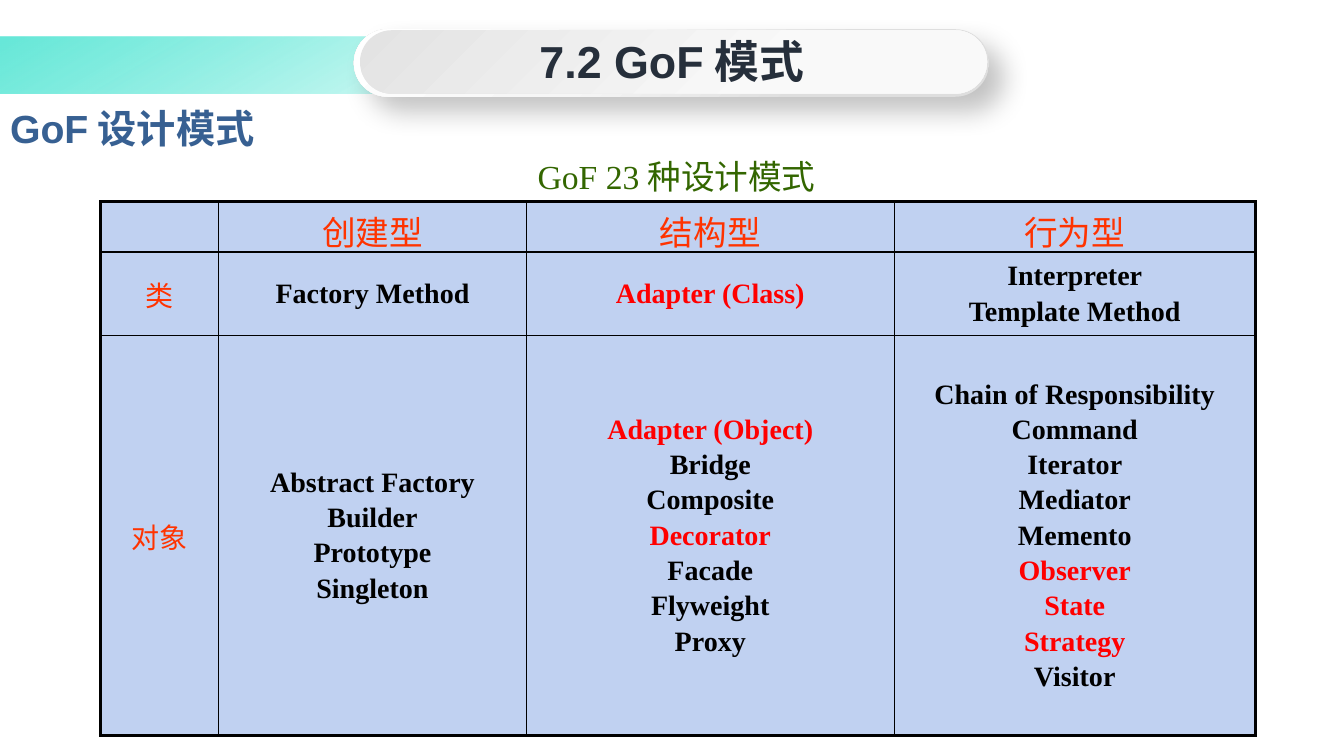
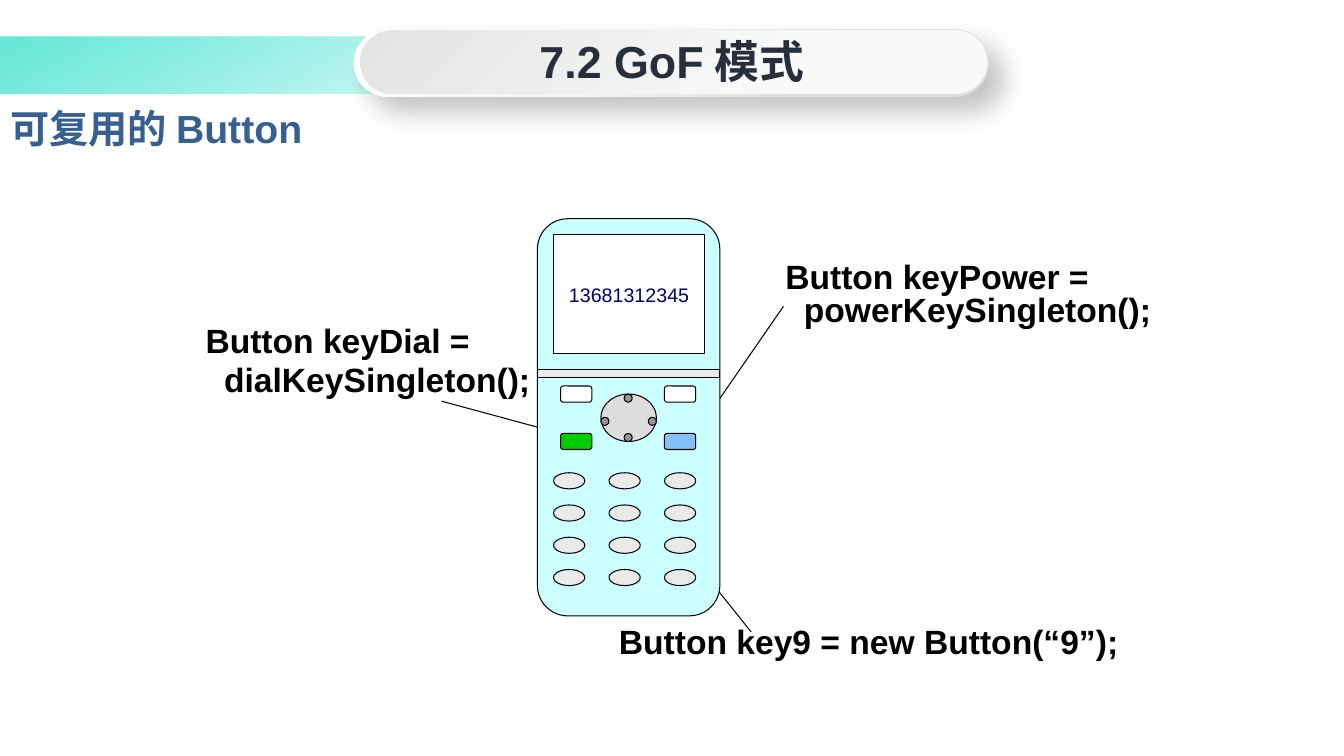
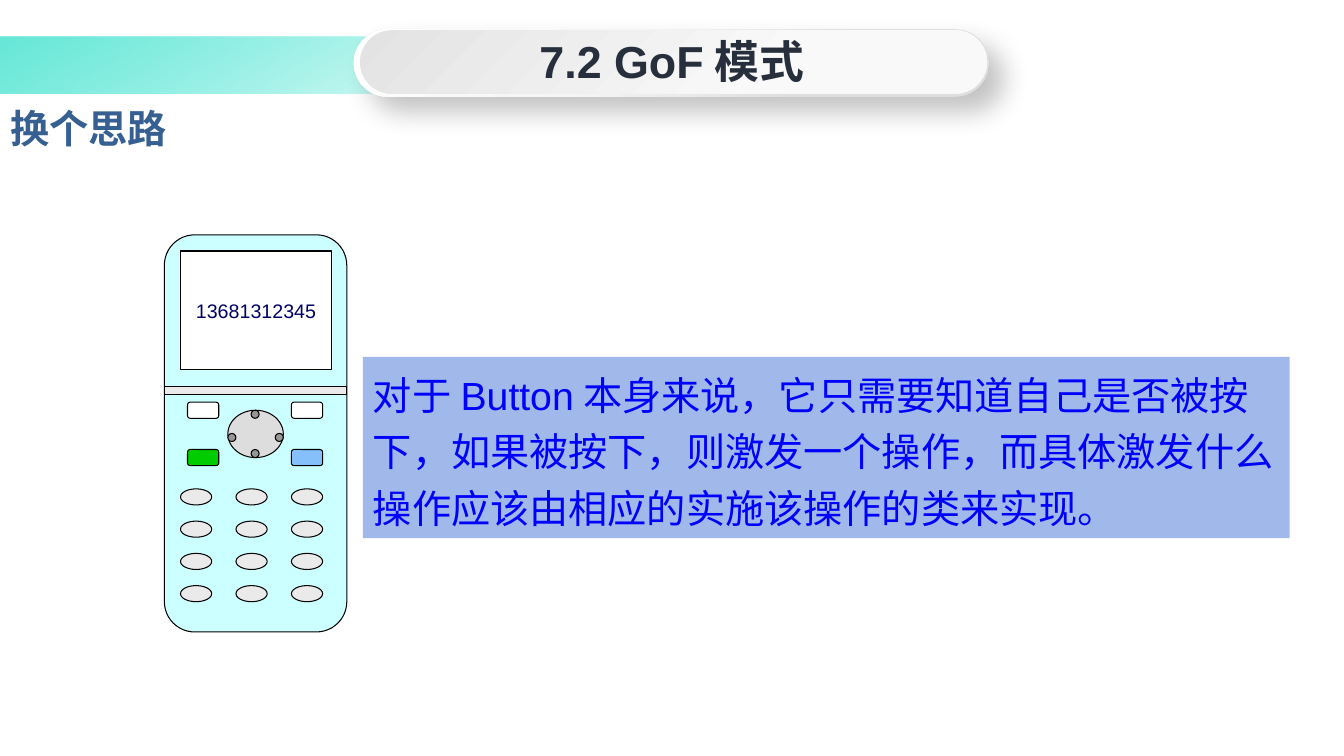
"""Build three slides on the GoF design patterns and a reusable phone button."""
from dataclasses import dataclass
from itertools import product
from typing import NamedTuple

from pptx import Presentation
from pptx.dml.color import RGBColor
from pptx.enum.shapes import MSO_CONNECTOR as Connector, MSO_SHAPE as Shape
from pptx.enum.text import MSO_ANCHOR as Anchor, MSO_AUTO_SIZE as AutoSize, PP_ALIGN as Align
from pptx.oxml import parse_xml
from pptx.oxml.ns import nsdecls, qn
from pptx.util import Inches, Pt


@dataclass(frozen=True)
class Theme:
    """Fonts, colours and type sizes of the whole deck."""
    sans: str = "Arial"
    serif: str = "Times New Roman"
    ink: str = "000000"
    paper: str = "FFFFFF"
    heading: str = "376092"
    chapter: str = "262F3B"
    caption: str = "336600"
    label: str = "FF3300"
    highlight: str = "FF0000"
    cell: str = "C0D1F1"
    note_fill: str = "A1B9EA"
    note_text: str = "0000FF"
    phone: str = "CCFFFF"
    phone_number: str = "000066"
    keypad: str = "EAEAEA"
    dial: str = "DDDDDD"
    dot: str = "969696"
    call: str = "00CC00"
    hang_up: str = "85C0FB"
    chapter_size: int = 32
    heading_size: int = 28
    body_size: int = 24
    cell_size: int = 20
    screen_size: int = 14
    hairline: float = 0.75
    inner_border: float = 1
    outer_border: float = 2.25


class Box(NamedTuple):
    """A place on the slide in inches."""
    x: float
    y: float
    w: float
    h: float

    def lengths(self) -> list:
        """Return the four lengths that python-pptx expects."""
        return [Inches(side) for side in self]

    def moved(self, dx: float, dy: float) -> "Box":
        """Return the box shifted by an offset."""
        return Box(self.x + dx, self.y + dy, self.w, self.h)


class Style(NamedTuple):
    """The look of a paragraph."""
    size: float
    color: str
    font: str
    bold: bool = False
    align: Align = Align.LEFT
    line: float | None = None
    before: float = 0


class Stop(NamedTuple):
    """One gradient stop, with position and opacity in percent."""
    position: int
    color: str
    opacity: int = 100


class Part(NamedTuple):
    """One piece of the phone, placed from the phone's corner."""
    kind: Shape
    box: Box
    color: str


class Callout(NamedTuple):
    """A piece of code beside the phone, with its leader line."""
    box: Box
    paragraphs: list[str]
    start: tuple[float, float]
    end: tuple[float, float]


THEME = Theme()
CHAPTER = Style(THEME.chapter_size, THEME.chapter, THEME.sans, True, Align.CENTER)
HEADING = Style(THEME.heading_size, THEME.heading, THEME.sans, True)
CAPTION = Style(THEME.body_size, THEME.caption, THEME.serif, align=Align.CENTER)
CODE = Style(THEME.body_size, THEME.ink, THEME.sans, True, line=0.8, before=5)
NOTE = Style(THEME.heading_size, THEME.note_text, THEME.sans, line=1.2)
SCREEN_TEXT = Style(THEME.screen_size, THEME.phone_number, THEME.sans, align=Align.CENTER)
COLUMN_HEAD = Style(THEME.body_size, THEME.label, THEME.serif, align=Align.CENTER)
ROW_HEAD = COLUMN_HEAD._replace(size=THEME.cell_size)
PATTERN = Style(THEME.cell_size, THEME.ink, THEME.serif, True, Align.CENTER, before=3)
KEY_PATTERN = PATTERN._replace(color=THEME.highlight)

KEY_SIZE = (0.31, 0.16)
DOT_SIZE = (0.08, 0.08)
SCREEN = Part(Shape.RECTANGLE, Box(0.16, 0.16, 1.5, 1.18), THEME.paper)
SOFT_KEYS = zip(product((0.23, 1.26), (1.66, 2.13)),
                (THEME.paper, THEME.call, THEME.paper, THEME.hang_up))
PHONE = [
    Part(Shape.ROUNDED_RECTANGLE, Box(0, 0, 1.81, 3.94), THEME.phone),
    SCREEN,
    Part(Shape.RECTANGLE, Box(0, 1.5, 1.81, 0.08), THEME.keypad),
    Part(Shape.OVAL, Box(0.63, 1.74, 0.55, 0.47), THEME.dial),
    *(Part(Shape.ROUNDED_RECTANGLE, Box(*corner, *KEY_SIZE), color)
      for corner, color in SOFT_KEYS),
    *(Part(Shape.OVAL, Box(0.16 + 0.55 * column, 2.52 + 0.32 * row, *KEY_SIZE), THEME.keypad)
      for row, column in product(range(4), range(3))),
    *(Part(Shape.OVAL, Box(*corner, *DOT_SIZE), THEME.dot)
      for corner in ((0.86, 1.74), (0.86, 2.13), (1.1, 1.97), (0.63, 1.97))),
]

CALLOUTS = [
    Callout(Box(6.04, 6.19, 5.2, 0.42), ["Button key9 = new Button(“9”);"],
            (6.82, 5.48), (7.45, 6.27)),
    Callout(Box(1.94, 3.2, 3.47, 0.83), ["Button keyDial =", "  dialKeySingleton();"],
            (5.56, 4.3), (4.38, 3.98)),
    Callout(Box(7.69, 2.57, 3.98, 0.75), ["Button keyPower =\n  powerKeySingleton();"],
            (6.9, 4.3), (7.77, 3.04)),
]

PATTERNS = [
    [[], ["创建型"], ["结构型"], ["行为型"]],
    [["类"], ["Factory Method"], ["Adapter (Class)"], ["Interpreter", "Template Method"]],
    [["对象"],
     ["Abstract Factory", "Builder", "Prototype", "Singleton"],
     ["Adapter (Object)", "Bridge", "Composite", "Decorator", "Facade", "Flyweight", "Proxy"],
     ["Chain of Responsibility", "Command", "Iterator", "Mediator", "Memento",
      "Observer", "State", "Strategy", "Visitor"]],
]
KEY_PATTERNS = {"Adapter (Class)", "Adapter (Object)", "Decorator", "Observer", "State", "Strategy"}
COLUMN_WIDTHS = (1.17, 3.05, 3.65, 3.58)
ROW_HEIGHTS = (0.5, 0.83, 3.97)


def write(frame, lines: list[tuple[str, Style]]) -> None:
    """Fill a text frame with one styled paragraph a line."""
    for index, (text, style) in enumerate(lines):
        paragraph = frame.add_paragraph() if index else frame.paragraphs[0]
        paragraph.text = text
        paragraph.alignment = style.align
        if style.line:
            paragraph.line_spacing = style.line
        paragraph.space_before = Pt(style.before if index else 0)
        font = paragraph.font
        font.name, font.size, font.bold = style.font, Pt(style.size), style.bold
        font.color.rgb = RGBColor.from_string(style.color)


def add_text(shapes, box: Box, style: Style, *paragraphs: str) -> None:
    """Add a wrapping text box."""
    frame = shapes.add_textbox(*box.lengths()).text_frame
    frame.word_wrap = True
    write(frame, [(text, style) for text in paragraphs])


def add_filled(shapes, kind: Shape, box: Box, color: str, outlined: bool = False):
    """Add a flat preset shape."""
    shape = shapes.add_shape(kind, *box.lengths())
    shape.shadow.inherit = False
    shape.fill.solid()
    shape.fill.fore_color.rgb = RGBColor.from_string(color)
    if outlined:
        shape.line.color.rgb = RGBColor.from_string(THEME.ink)
        shape.line.width = Pt(THEME.hairline)
    else:
        shape.line.fill.background()
    return shape


def add_gradient(shapes, kind: Shape, box: Box, angle: int, stops: list[Stop]):
    """Add a shape with a linear gradient."""
    shape = add_filled(shapes, kind, box, stops[0].color)
    marks = "".join(
        f'<a:gs pos="{stop.position * 1000}"><a:srgbClr val="{stop.color}">'
        f'<a:alpha val="{stop.opacity * 1000}"/></a:srgbClr></a:gs>' for stop in stops)
    gradient = parse_xml(
        f'<a:gradFill {nsdecls("a")} rotWithShape="1"><a:gsLst>{marks}</a:gsLst>'
        f'<a:lin ang="{angle * 60000}" scaled="0"/></a:gradFill>')
    properties = shape.element.spPr
    properties.replace(properties.find(qn("a:solidFill")), gradient)
    return shape


def add_band(layout, slide) -> None:
    """Place the fading band on the layout, so that every slide shows it."""
    band = add_gradient(slide.shapes, Shape.RECTANGLE, Box(-0.01, 0.36, 13.17, 0.57), 60,
                        [Stop(1, "4EE4D2", 85), Stop(50, "20E2CB", 0)])
    layout.shapes.element.append(band.element)


def add_chapter_pill(slide) -> None:
    """Add the raised pill with the chapter title."""
    shapes = slide.shapes.add_group_shape().shapes
    rim = add_gradient(shapes, Shape.ROUNDED_RECTANGLE, Box(3.51, 0.29, 6.3, 0.67), 225,
                       [Stop(1, "DEDEDE"), Stop(30, "E0E0E0"), Stop(61, "F6F6F6"),
                        Stop(100, "FFFFFF")])
    rim.element.spPr.find(qn("a:effectLst")).append(parse_xml(
        f'<a:outerShdw {nsdecls("a")} blurRad="{Pt(19)}" dist="{Pt(14)}" dir="2700000" '
        f'algn="tl" rotWithShape="0"><a:srgbClr val="{THEME.ink}">'
        '<a:alpha val="24000"/></a:srgbClr></a:outerShdw>'))
    face = add_gradient(shapes, Shape.ROUNDED_RECTANGLE, Box(3.57, 0.3, 6.22, 0.63), 45,
                        [Stop(0, "E3E3E3"), Stop(67, "F9F9F9")])
    for pill in (rim, face):
        pill.adjustments[0] = 0.5
    add_text(shapes, Box(3.81, 0.29, 5.71, 0.64), CHAPTER, "7.2 GoF模式")


def start_slide(deck, layout, heading: str):
    """Add a slide with its heading and the chapter pill."""
    slide = deck.slides.add_slide(layout)
    title = slide.shapes.title
    title.left, title.top, title.width, title.height = Box(0, 0.93, 13.38, 0.67).lengths()
    frame = title.text_frame
    frame.word_wrap, frame.auto_size = True, AutoSize.NONE
    frame.vertical_anchor = Anchor.MIDDLE
    write(frame, [(heading, HEADING)])
    add_chapter_pill(slide)
    return slide


def add_phone(slide, x: float, y: float) -> None:
    """Draw the phone as one group."""
    shapes = slide.shapes.add_group_shape().shapes
    for part in PHONE:
        piece = add_filled(shapes, part.kind, part.box.moved(x, y), part.color, outlined=True)
        if part is SCREEN:
            piece.text_frame.word_wrap = False
            piece.text_frame.vertical_anchor = Anchor.MIDDLE
            write(piece.text_frame, [("13681312345", SCREEN_TEXT)])


def add_callout(slide, callout: Callout) -> None:
    """Add a leader line and its code."""
    ends = [Inches(value) for value in (*callout.start, *callout.end)]
    leader = slide.shapes.add_connector(Connector.STRAIGHT, *ends)
    leader.line.color.rgb = RGBColor.from_string(THEME.ink)
    leader.line.width = Pt(THEME.hairline)
    leader.element.spPr.append(parse_xml(f'<a:effectLst {nsdecls("a")}/>'))
    add_text(slide.shapes, callout.box, CODE, *callout.paragraphs)


def pattern_style(row: int, column: int, text: str) -> Style:
    """Choose the style of a line in the pattern table."""
    if row == 0:
        return COLUMN_HEAD
    if column == 0:
        return ROW_HEAD
    return KEY_PATTERN if text in KEY_PATTERNS else PATTERN


def set_borders(cell, outer: dict[str, bool]) -> None:
    """Draw the four borders of a cell, thicker on the table's edge."""
    properties = cell._tc.get_or_add_tcPr()
    for index, (side, is_outer) in enumerate(outer.items()):
        width = Pt(THEME.outer_border if is_outer else THEME.inner_border)
        properties.insert(index, parse_xml(
            f'<a:ln{side} {nsdecls("a")} w="{width}"><a:solidFill>'
            f'<a:srgbClr val="{THEME.ink}"/></a:solidFill></a:ln{side}>'))


def add_pattern_table(slide) -> None:
    """Add the table of the 23 patterns."""
    box = Box(1, 2, sum(COLUMN_WIDTHS), sum(ROW_HEIGHTS))
    rows, columns = len(ROW_HEIGHTS), len(COLUMN_WIDTHS)
    table = slide.shapes.add_table(rows, columns, *box.lengths()).table
    table.first_row = table.horz_banding = False
    for column, width in zip(table.columns, COLUMN_WIDTHS):
        column.width = Inches(width)
    for row, height in zip(table.rows, ROW_HEIGHTS):
        row.height = Inches(height)
    for r, c in product(range(rows), range(columns)):
        cell = table.cell(r, c)
        cell.fill.solid()
        cell.fill.fore_color.rgb = RGBColor.from_string(THEME.cell)
        cell.vertical_anchor = Anchor.MIDDLE
        set_borders(cell, {"L": c == 0, "R": c == columns - 1, "T": r == 0, "B": r == rows - 1})
        write(cell.text_frame, [(text, pattern_style(r, c, text)) for text in PATTERNS[r][c]])


def main() -> None:
    """Build and save the deck."""
    deck = Presentation()
    deck.slide_width, deck.slide_height = Inches(13.33), Inches(7.5)
    layout = deck.slide_layouts[5]

    overview = start_slide(deck, layout, "GoF设计模式")
    add_band(layout, overview)
    add_pattern_table(overview)
    add_text(overview.shapes, Box(2.34, 1.5, 8.74, 0.5), CAPTION, "GoF 23种设计模式")

    reuse = start_slide(deck, layout, "可复用的Button")
    for callout in CALLOUTS:
        add_callout(reuse, callout)
    add_phone(reuse, 5.33, 2.17)

    rethink = start_slide(deck, layout, "换个思路")
    add_phone(rethink, 1.63, 2.33)
    note = add_filled(rethink.shapes, Shape.RECTANGLE, Box(3.6, 3.54, 9.19, 1.8), THEME.note_fill)
    note.text_frame.word_wrap = True
    note.text_frame.vertical_anchor = Anchor.TOP
    write(note.text_frame, [(
        "对于Button本身来说，它只需要知道自己是否被按下，如果被按下，则激发一个操作，"
        "而具体激发什么操作应该由相应的实施该操作的类来实现。", NOTE)])

    deck.save("out.pptx")


if __name__ == "__main__":
    main()
